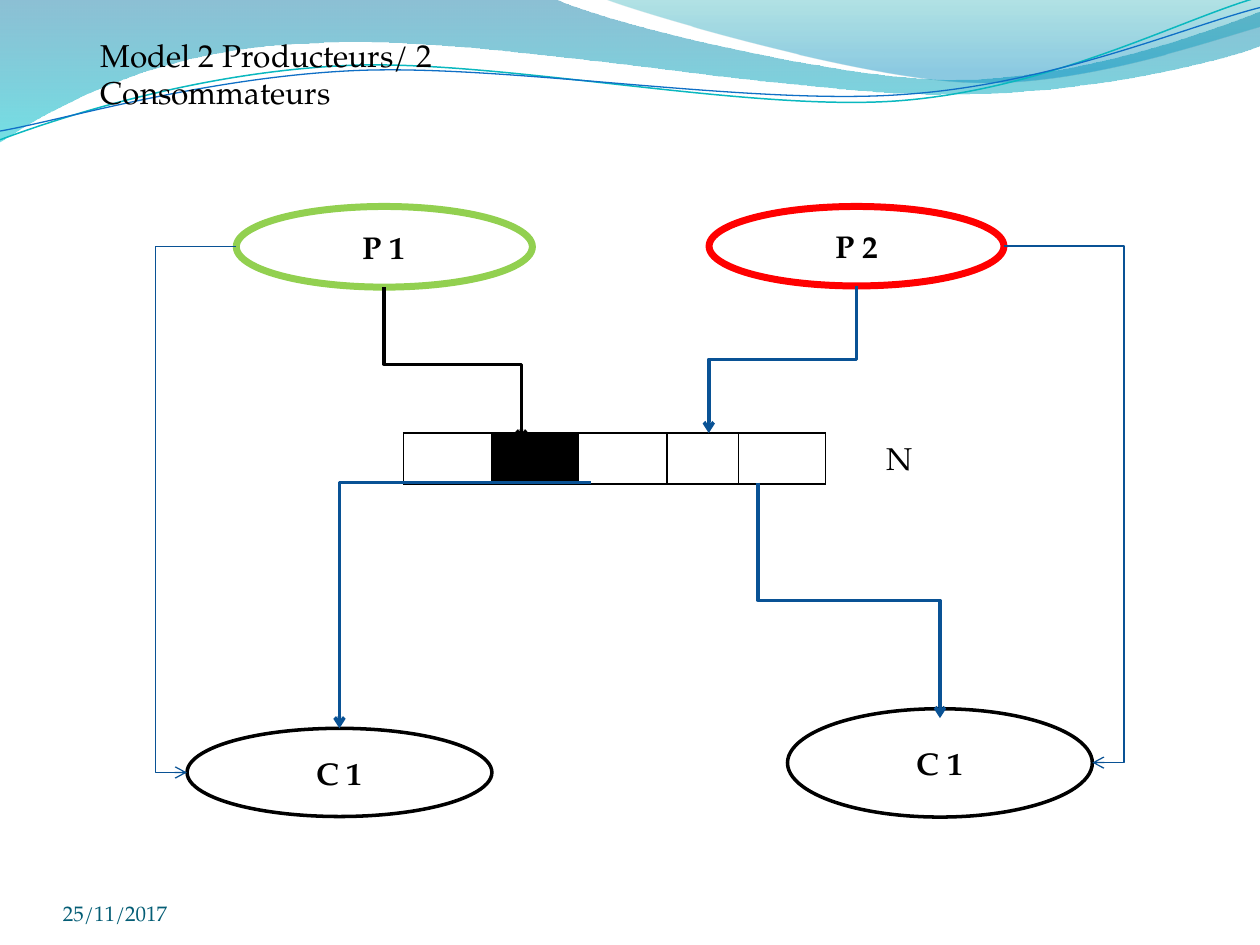
from dataclasses import dataclass
from math import cos, radians, sin

from lxml.etree import SubElement
from pptx import Presentation
from pptx.dml.color import RGBColor
from pptx.enum.shapes import MSO_CONNECTOR, MSO_SHAPE
from pptx.enum.text import MSO_ANCHOR, PP_ALIGN
from pptx.oxml.ns import qn
from pptx.util import Pt

FONT = "TeX Gyre Pagella"
BLACK = RGBColor(0x00, 0x00, 0x00)
RED = RGBColor(0xFF, 0x00, 0x00)
GREEN = RGBColor(0x92, 0xD0, 0x50)
BLUE = RGBColor(0x09, 0x52, 0x95)
DATE_BLUE = RGBColor(0x04, 0x5D, 0x75)
WAVE_TEAL = RGBColor(0x0A, 0xB8, 0xBF)
WAVE_BLUE = RGBColor(0x0F, 0x6F, 0xC6)
BAND_TOP = RGBColor(0x00, 0x74, 0xA1)
BAND_BOTTOM = RGBColor(0x00, 0xC6, 0xCF)
CREST_TOP = RGBColor(0x00, 0xA1, 0xA9)
CREST_BOTTOM = RGBColor(0x00, 0x8B, 0xBF)

Point = tuple[float, float]
Box = tuple[float, float, float, float]


@dataclass
class Stop:
    position: float
    color: RGBColor
    opacity: int


@dataclass
class Wave:
    """Start point, then line ends (2 numbers) or cubic curves (6 numbers)."""
    box: Box
    start: Point
    segments: list[tuple[float, ...]]
    stops: tuple[Stop, ...] = ()
    color: RGBColor | None = None
    weight: float = 0
    rotation: float = 0


@dataclass
class Node:
    label: str
    box: Box
    color: RGBColor
    weight: float


@dataclass
class Elbow:
    start: Point
    end: Point
    weight: float = 2
    color: RGBColor = BLUE
    vertical: bool = False
    corner: bool = False
    bend: float = 0.5


@dataclass
class Label:
    text: str
    box: Box
    frame: dict
    size: float = 18
    color: RGBColor = BLACK


WAVES = [
    Wave((-0.7, -0.7, 721.4, 82.1), (0, 0),
         [(316.8, -0.7), (342.7, 12.2, 478.1, 45.4, 545.8, 45.4),
          (614.2, 45.4, 689.8, 18.7, 720, 6.5), (720.7, 25.9),
          (707.8, 31.7, 626.4, 54.7, 537.1, 54), (447.8, 54, 275, 20.2, 185, 24.5),
          (92.9, 25.9, 33.1, 59.8, -0.7, 81.4), (0, 0)],
         stops=(Stop(0, BAND_TOP, 45), Stop(1, BAND_BOTTOM, 55))),
    Wave((344.9, -0.7, 375.1, 50.4), (344.9, -0.7),
         [(366.5, 7.9, 491, 44.6, 553.7, 46.8),
          (616.3, 49.7, 691.9, 23, 720, 15.1), (720, 0), (344.9, -0.7)],
         stops=(Stop(0, CREST_TOP, 30), Stop(0.8, CREST_BOTTOM, 45))),
    Wave((-1.4, 15.8, 721.4, 51.1), (0, 79.9),
         [(34.6, 67, 113.8, 41, 199.4, 37.4), (284.4, 33.8, 427, 64.1, 513.4, 57.6),
          (599.8, 51.1, 675.4, 10.8, 718.6, -1.4)],
         color=WAVE_TEAL, weight=0.85, rotation=357.3),
    Wave((-1.4, 21.6, 722.2, 41.8), (0, 74.9),
         [(33.8, 69.1, 118.1, 43.9, 203.8, 40.3), (290.2, 36.7, 429.8, 60.5, 516.2, 54),
          (601.9, 48.2, 677.5, 15.1, 720, 4.3)],
         color=WAVE_BLUE, weight=0.75, rotation=357.3),
]
NODES = [
    Node("P 2", (405.2, 118, 168.5, 45.4), RED, 4),
    Node("P 1", (135, 118, 169.2, 46.1), GREEN, 4),
    Node("C 1", (106.9, 416.2, 174.2, 50.4), BLACK, 2),
    Node("C 1", (450, 405, 174.2, 61.9), BLACK, 2),
]
ELBOWS = [
    Elbow((489.4, 163.4), (405, 247.5), vertical=True),
    Elbow((219.6, 164.2), (298, 252.3), color=BLACK, vertical=True),
    Elbow((337.7, 275.8), (194, 416.2), corner=True),
    Elbow((433.2, 275.8), (537.1, 410.4), vertical=True),
    Elbow((573.8, 140.6), (624.2, 435.8), weight=0.75, bend=1.36),
    Elbow((135, 140.9), (106.8, 441.4), weight=0.75, bend=1.64),
]
NO_MARGINS = dict.fromkeys(
    ("margin_left", "margin_top", "margin_right", "margin_bottom"), 0)
LABELS = [
    Label("Model 2 Producteurs/ 2 Consommateurs", (50.4, 16.8, 332.6, 28.8),
          {"margin_right": Pt(100)}),
    Label("25/11/2017", (36, 500.4, 167.8, 28.8),
          {**NO_MARGINS, "vertical_anchor": MSO_ANCHOR.BOTTOM}, 12, DATE_BLUE),
    Label("N", (495.4, 247.3, 45.4, 28.8), {"margin_left": Pt(11.2)}),
]
BUFFER_COLUMNS = [50.4, 49.7, 50.4, 41, 49.7]
FULL_SLOT = 1


def apply(target, values: dict) -> None:
    for name, value in values.items():
        setattr(target, name, value)


def write(tf, text: str, align=PP_ALIGN.LEFT, **font) -> None:
    color = font.pop("color")
    p = tf.paragraphs[0]
    p.alignment = align
    r = p.add_run()
    r.text = text
    apply(r.font, {"name": FONT, **font})
    r.font.color.rgb = color


def to_local(x: float, y: float, wave: Wave) -> Point:
    """Undo the turn about the centre of the box, then measure from its corner."""
    left, top, w, h = wave.box
    angle = radians(-wave.rotation)
    dx, dy = x - left - w / 2, y - top - h / 2
    return (w / 2 + dx * cos(angle) - dy * sin(angle),
            h / 2 + dx * sin(angle) + dy * cos(angle))


def trace(outline, wave: Wave) -> None:
    """Replace the commands of the outline by the lines and curves of the wave."""
    for command in list(outline):
        outline.remove(command)
    commands = {2: "a:lnTo", 6: "a:cubicBezTo"}
    steps = [("a:moveTo", wave.start)] + [(commands[len(g)], g) for g in wave.segments]
    for tag, numbers in steps:
        command = SubElement(outline, qn(tag))
        for x, y in zip(numbers[::2], numbers[1::2]):
            px, py = to_local(x, y, wave)
            SubElement(command, qn("a:pt"), x=str(Pt(px)), y=str(Pt(py)))
    if wave.stops:
        SubElement(outline, qn("a:close"))


def draw_wave(s, wave: Wave) -> None:
    left, top, w, h = wave.box
    builder = s.shapes.build_freeform(Pt(left), Pt(top))
    builder.add_line_segments([(Pt(left + w), Pt(top + h))], close=False)
    sp = builder.convert_to_shape()
    trace(sp._element.find(f".//{qn('a:path')}"), wave)
    sp.rotation = wave.rotation
    sp.shadow.inherit = False
    if not wave.stops:
        sp.fill.background()
        sp.line.color.rgb = wave.color
        sp.line.width = Pt(wave.weight)
        return
    sp.fill.gradient()
    sp.fill.gradient_angle = 270
    for grad, stop in zip(sp.fill.gradient_stops, wave.stops):
        grad.color.rgb = stop.color
        grad.position = stop.position
    for clr, stop in zip(sp._element.iter(qn("a:srgbClr")), wave.stops):
        SubElement(clr, qn("a:alpha"), val=str(stop.opacity * 1000))
    sp.line.fill.background()


def draw_node(s, node: Node) -> None:
    sp = s.shapes.add_shape(MSO_SHAPE.OVAL, *map(Pt, node.box))
    sp.shadow.inherit = False
    sp.fill.background()
    sp.line.color.rgb = node.color
    sp.line.width = Pt(node.weight)
    sp.text_frame.vertical_anchor = MSO_ANCHOR.MIDDLE
    write(sp.text_frame, node.label, PP_ALIGN.CENTER, size=Pt(18), bold=True, color=BLACK)


def draw_elbow(s, elbow: Elbow) -> None:
    """Vertical elbows are horizontal ones turned a quarter about their centre."""
    (x1, y1), (x2, y2) = elbow.start, elbow.end
    if elbow.vertical:
        cx, cy, w, h = (x1 + x2) / 2, (y1 + y2) / 2, abs(y2 - y1), abs(x2 - x1)
        flip = w if x2 > x1 else -w
        x1, x2, y1, y2 = cx + flip / 2, cx - flip / 2, cy - h / 2, cy + h / 2
    c = s.shapes.add_connector(MSO_CONNECTOR.ELBOW, *map(Pt, (x1, y1, x2, y2)))
    c.line.color.rgb = elbow.color
    c.line.width = Pt(elbow.weight)
    pr = c._element.spPr
    if elbow.vertical:
        pr.find(qn("a:xfrm")).set("rot", "16200000" if x1 > x2 else "5400000")
    geom = pr.find(qn("a:prstGeom"))
    if elbow.corner:
        geom.set("prst", "bentConnector2")
    else:
        SubElement(geom.find(qn("a:avLst")), qn("a:gd"), name="adj1",
                   fmla=f"val {round(elbow.bend * 100000)}")
    SubElement(pr.find(qn("a:ln")), qn("a:tailEnd"), type="arrow")
    SubElement(pr, qn("a:effectLst"))


def draw_buffer(s) -> None:
    box = (230.6, 247.5, sum(BUFFER_COLUMNS), 29.2)
    table = s.shapes.add_table(1, len(BUFFER_COLUMNS), *map(Pt, box)).table
    apply(table, {"first_row": False, "horz_banding": False})
    for i, width in enumerate(BUFFER_COLUMNS):
        table.columns[i].width = Pt(width)
        cell = table.cell(0, i)
        apply(cell, NO_MARGINS)
        pr = cell._tc.get_or_add_tcPr()
        for side in ("lnL", "lnR", "lnT", "lnB"):
            ln = SubElement(pr, qn(f"a:{side}"), w=str(Pt(1)))
            SubElement(SubElement(ln, qn("a:solidFill")), qn("a:srgbClr"), val=str(BLACK))
        if i == FULL_SLOT:
            cell.fill.solid()
            cell.fill.fore_color.rgb = BLACK
        else:
            cell.fill.background()


def draw_label(s, label: Label) -> None:
    tf = s.shapes.add_textbox(*map(Pt, label.box)).text_frame
    apply(tf, {"word_wrap": True, **label.frame})
    write(tf, label.text, size=Pt(label.size), color=label.color)


prs = Presentation()
apply(prs, {"slide_width": Pt(720), "slide_height": Pt(540)})
s = prs.slides.add_slide(prs.slide_layouts[6])
for wave in WAVES:
    draw_wave(s, wave)
draw_buffer(s)
for draw, items in ((draw_node, NODES), (draw_elbow, ELBOWS), (draw_label, LABELS)):
    for item in items:
        draw(s, item)
prs.save("out.pptx")
